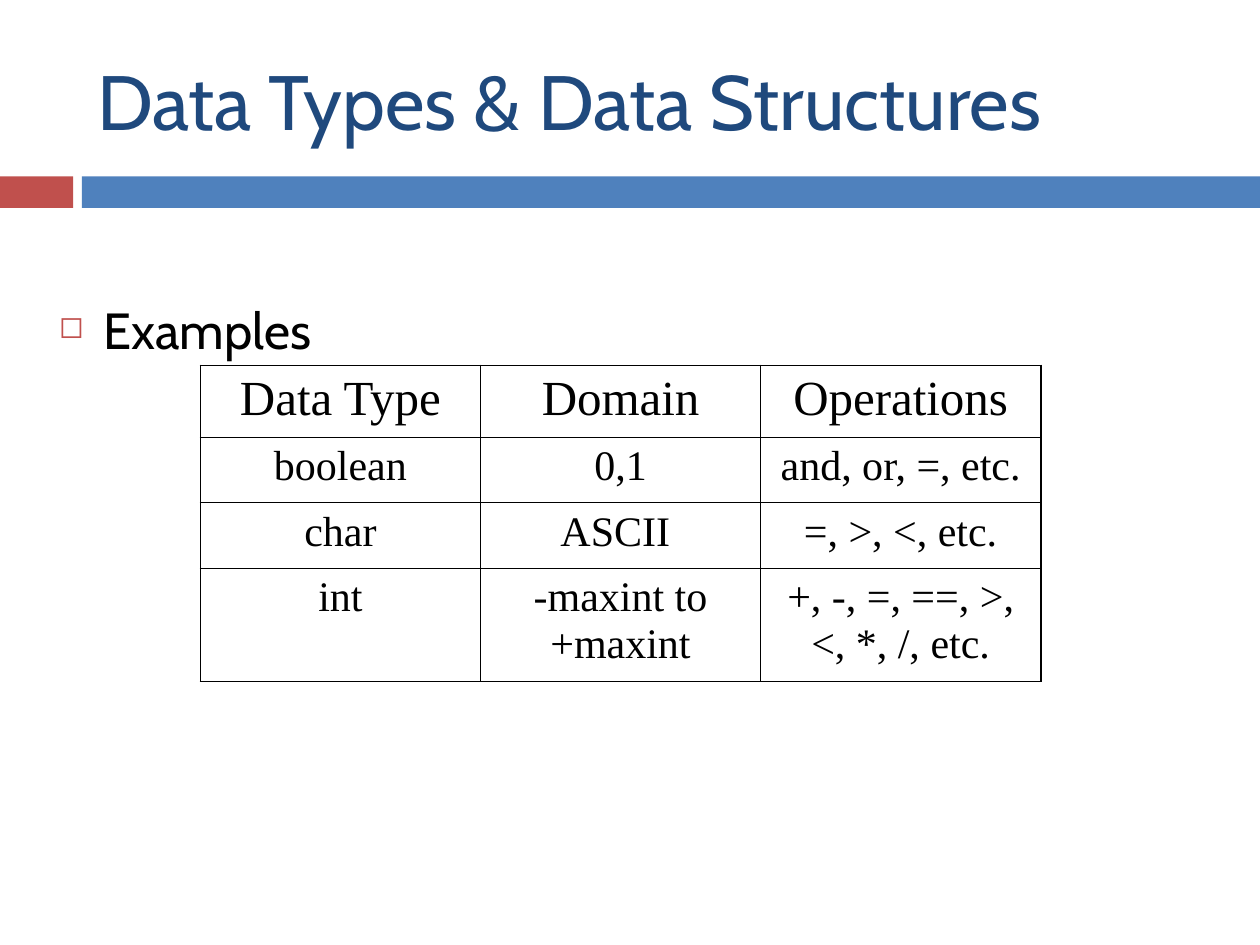
"""Build a slide on data types with a table of examples."""
from dataclasses import dataclass

from lxml import etree
from pptx import Presentation
from pptx.dml.color import RGBColor
from pptx.enum import shapes, text
from pptx.oxml.ns import qn
from pptx.util import Inches, Pt


@dataclass(frozen=True)
class Theme:
    """Colours, fonts and sizes."""
    navy: str = "1F497D"
    blue: str = "4F81BD"
    red: str = "C0504D"
    black: str = "000000"
    sans: str = "Cabin"
    serif: str = "Times New Roman"
    title: float = 44
    body: float = 29
    head: float = 28
    cell: float = 24
    thick: float = 1.08
    thin: float = 0.45


@dataclass(frozen=True)
class Bar:
    """A filled band under the title."""
    left: float
    width: float
    color: str


T = Theme()
BARS = [Bar(0, 0.58, T.red), Bar(0.65, 9.35, T.blue)]
ROWS = [
    ("Data Type", "Domain", "Operations"),
    ("boolean", "0,1", "and, or, =, etc."),
    ("char", "ASCII ", "=, >, <, etc."),
    ("int", "-maxint to +maxint", "+, -, =, ==, >, <, *, /, etc."),
]
HEIGHTS = [0.57, 0.52, 0.52, 0.9]


def write(frame, words: str, *, size: float, font: str, color: str = T.black,
          align=text.PP_ALIGN.LEFT, bullet: str = "") -> None:
    """Write one formatted paragraph into a text frame."""
    frame.word_wrap = True
    para = frame.paragraphs[0]
    para.text = words
    para.alignment = align
    if bullet:
        add_bullet(para, bullet)
    para.font.size = Pt(size)
    para.font.name = font
    para.font.color.rgb = RGBColor.from_string(color)


def add_bullet(para, mark: str) -> None:
    """Give a paragraph a small red bullet and a hanging indent."""
    props = para._p.get_or_add_pPr()
    props.set("marL", str(Inches(0.35)))
    props.set("indent", str(Inches(-0.35)))
    tint = etree.SubElement(props, qn("a:buClr"))
    etree.SubElement(tint, qn("a:srgbClr"), val=T.red)
    etree.SubElement(props, qn("a:buSzPct"), val="60000")
    etree.SubElement(props, qn("a:buChar"), char=mark)


def draw_bar(slide, bar: Bar) -> None:
    """Draw one band."""
    shape = slide.shapes.add_shape(
        shapes.MSO_SHAPE.RECTANGLE, Inches(bar.left), Inches(1.4),
        Inches(bar.width), Inches(0.25))
    shape.shadow.inherit = False
    shape.fill.solid()
    shape.fill.fore_color.rgb = RGBColor.from_string(bar.color)
    shape.line.fill.background()


def add_edge(cell, side: str, width: float) -> None:
    """Draw one border of a cell."""
    props = cell._tc.get_or_add_tcPr()
    line = etree.SubElement(props, qn(f"a:ln{side}"), w=str(Pt(width)))
    fill = etree.SubElement(line, qn("a:solidFill"))
    etree.SubElement(fill, qn("a:srgbClr"), val=T.black)


def draw_table(slide) -> None:
    """Draw the table with a thick frame and thin inner rules."""
    rows, cols = len(ROWS), len(ROWS[0])
    table = slide.shapes.add_table(
        rows, cols, Inches(1.59), Inches(2.9),
        Inches(6.67), Inches(sum(HEIGHTS))).table
    table.first_row = table.horz_banding = False
    for row, high in zip(table.rows, HEIGHTS):
        row.height = Inches(high)
    for r, row in enumerate(ROWS):
        for c, words in enumerate(row):
            cell = table.cell(r, c)
            outer = {"L": c == 0, "R": c == cols - 1,
                     "T": r == 0, "B": r == rows - 1}
            for side, edge in outer.items():
                add_edge(cell, side, T.thick if edge else T.thin)
            cell.fill.background()
            write(cell.text_frame, words, size=T.cell if r else T.head,
                  font=T.serif, align=text.PP_ALIGN.CENTER)


def main() -> None:
    """Build and save the slide."""
    deck = Presentation()
    deck.slide_width, deck.slide_height = Inches(10), Inches(7.5)
    slide = deck.slides.add_slide(deck.slide_layouts[5])
    for bar in BARS:
        draw_bar(slide, bar)
    title = slide.shapes.title
    title.left, title.top = Inches(0.67), Inches(0.25)
    title.width, title.height = Inches(8.92), Inches(1.08)
    title.text_frame.auto_size = text.MSO_AUTO_SIZE.NONE
    title.text_frame.vertical_anchor = text.MSO_ANCHOR.MIDDLE
    write(title.text_frame, "Data Types & Data Structures",
          size=T.title, font=T.sans, color=T.navy)
    body = slide.shapes.add_textbox(
        Inches(0.37), Inches(2.32), Inches(9.37), Inches(3.49))
    write(body.text_frame, "Examples", size=T.body, font=T.sans, bullet="◻")
    draw_table(slide)
    deck.save("out.pptx")


if __name__ == "__main__":
    main()
